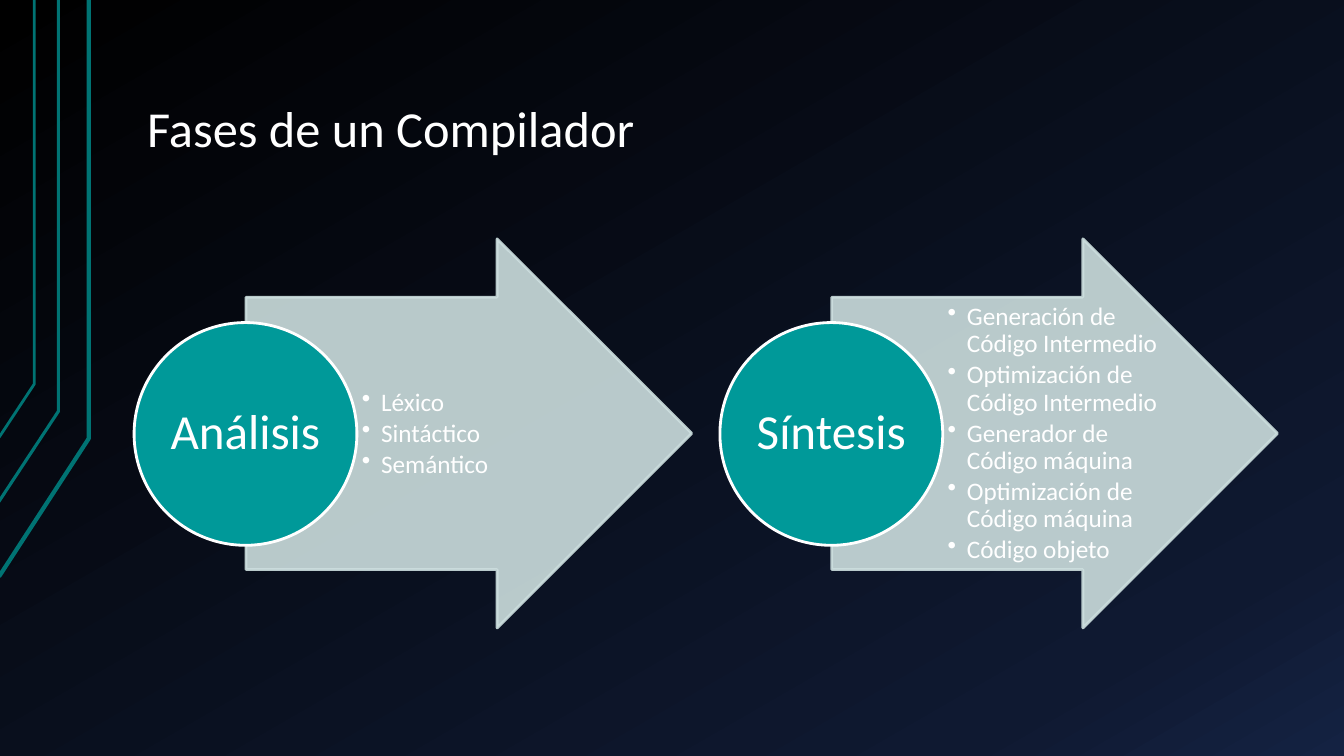
import copy
import lxml.etree
import pptx
import pptx.dml.color
import pptx.enum.shapes
import pptx.enum.text
import pptx.oxml.ns
import pptx.util

Inches = pptx.util.Inches
Pt = pptx.util.Pt
qn = pptx.oxml.ns.qn
ALIGN = pptx.enum.text.PP_ALIGN
ANCHOR = pptx.enum.text.MSO_ANCHOR
SHAPES = pptx.enum.shapes.MSO_SHAPE


def color(value):
    return pptx.dml.color.RGBColor.from_string(value)


def write(paragraph, text, size, align):
    paragraph.alignment = align
    paragraph.line_spacing = 0.9
    run = paragraph.add_run()
    run.text = text
    run.font.size = Pt(size)
    run.font.name = "Calibri"
    run.font.color.rgb = color("FFFFFF")


deck = pptx.Presentation()
deck.slide_width = Inches(13.33)
deck.slide_height = Inches(7.5)
slide = deck.slides.add_slide(deck.slide_layouts[5])

backdrop = slide.background.fill
backdrop.gradient()
backdrop.gradient_angle = 300
stops = slide.element.find(".//" + qn("a:gsLst"))
stops.append(copy.deepcopy(stops[-1]))
for stop, (position, shade) in zip(
    backdrop.gradient_stops, [(0, "000000"), (0.85, "0F1931"), (1, "142242")]
):
    stop.position = position
    stop.color.rgb = color(shade)

for start_x, start_y, bend_x, bend_y, width in [
    (-0.01, 5.72, 0.88, 4.35, 3),
    (-0.02, 4.99, 0.58, 4.08, 2.25),
    (-0.01, 4.34, 0.34, 3.81, 2),
]:
    path = slide.shapes.build_freeform(Inches(start_x), Inches(start_y))
    path.add_line_segments(
        [(Inches(bend_x), Inches(bend_y)), (Inches(bend_x), 0)], close=False
    )
    circuit = path.convert_to_shape()
    circuit.shadow.inherit = False
    circuit.fill.background()
    circuit.line.color.rgb = color("007373")
    circuit.line.width = Pt(width)

title = slide.shapes.title
title.left, title.top = Inches(1.33), Inches(0.3)
title.width, title.height = Inches(11.33), Inches(1.34)
heading = title.text_frame
heading.vertical_anchor = ANCHOR.BOTTOM
heading.margin_left = heading.margin_right = Inches(0.13)
heading.margin_top = heading.margin_bottom = Inches(0.07)
write(heading.paragraphs[0], "Fases de un Compilador", 36, ALIGN.LEFT)

phases = [
    ("Análisis", ["Léxico", "Sintáctico", "Semántico"]),
    (
        "Síntesis",
        [
            "Generación de Código Intermedio",
            "Optimización de Código Intermedio",
            "Generador de Código máquina",
            "Optimización de Código máquina",
            "Código objeto",
        ],
    ),
]
for index, (phase, steps) in enumerate(phases):
    left = 1.33 + 5.81 * index

    arrow = slide.shapes.add_shape(
        SHAPES.RIGHT_ARROW, Inches(left + 1.11), Inches(2.37), Inches(4.42), Inches(3.86)
    )
    arrow.adjustments[0] = 0.7
    arrow.adjustments[1] = 0.5
    arrow.shadow.inherit = False
    arrow.fill.solid()
    arrow.fill.fore_color.rgb = color("CCDEDE")
    arrow.line.color.rgb = color("CCDEDE")
    arrow.line.width = Pt(2)
    for tint in arrow.element.spPr.iter(qn("a:srgbClr")):
        lxml.etree.SubElement(tint, qn("a:alpha"), val="90000")

    step_list = slide.shapes.add_textbox(
        Inches(left + 2.21), Inches(2.95), Inches(2.16), Inches(2.71)
    ).text_frame
    step_list.word_wrap = True
    step_list.vertical_anchor = ANCHOR.MIDDLE
    step_list.margin_left, step_list.margin_right = Inches(0.05), Inches(0.03)
    step_list.margin_top = step_list.margin_bottom = Inches(0.01)
    for number, step in enumerate(steps):
        item = step_list.add_paragraph() if number else step_list.paragraphs[0]
        write(item, step, 18, ALIGN.LEFT)
        item.space_after = Pt(2.7)
        properties = item._p.get_or_add_pPr()
        properties.set("marL", str(Inches(0.19)))
        properties.set("indent", str(Inches(-0.19)))
        lxml.etree.SubElement(properties, qn("a:buChar"), char="•")

    circle = slide.shapes.add_shape(
        SHAPES.OVAL, Inches(left), Inches(3.2), Inches(2.21), Inches(2.21)
    )
    circle.shadow.inherit = False
    circle.fill.solid()
    circle.fill.fore_color.rgb = color("009999")
    circle.line.color.rgb = color("FFFFFF")
    circle.line.width = Pt(2)
    label = circle.text_frame
    label.vertical_anchor = ANCHOR.MIDDLE
    label.margin_left = label.margin_right = Inches(0.02)
    label.margin_top = label.margin_bottom = Inches(0.02)
    write(label.paragraphs[0], phase, 35, ALIGN.CENTER)

deck.save("out.pptx")
